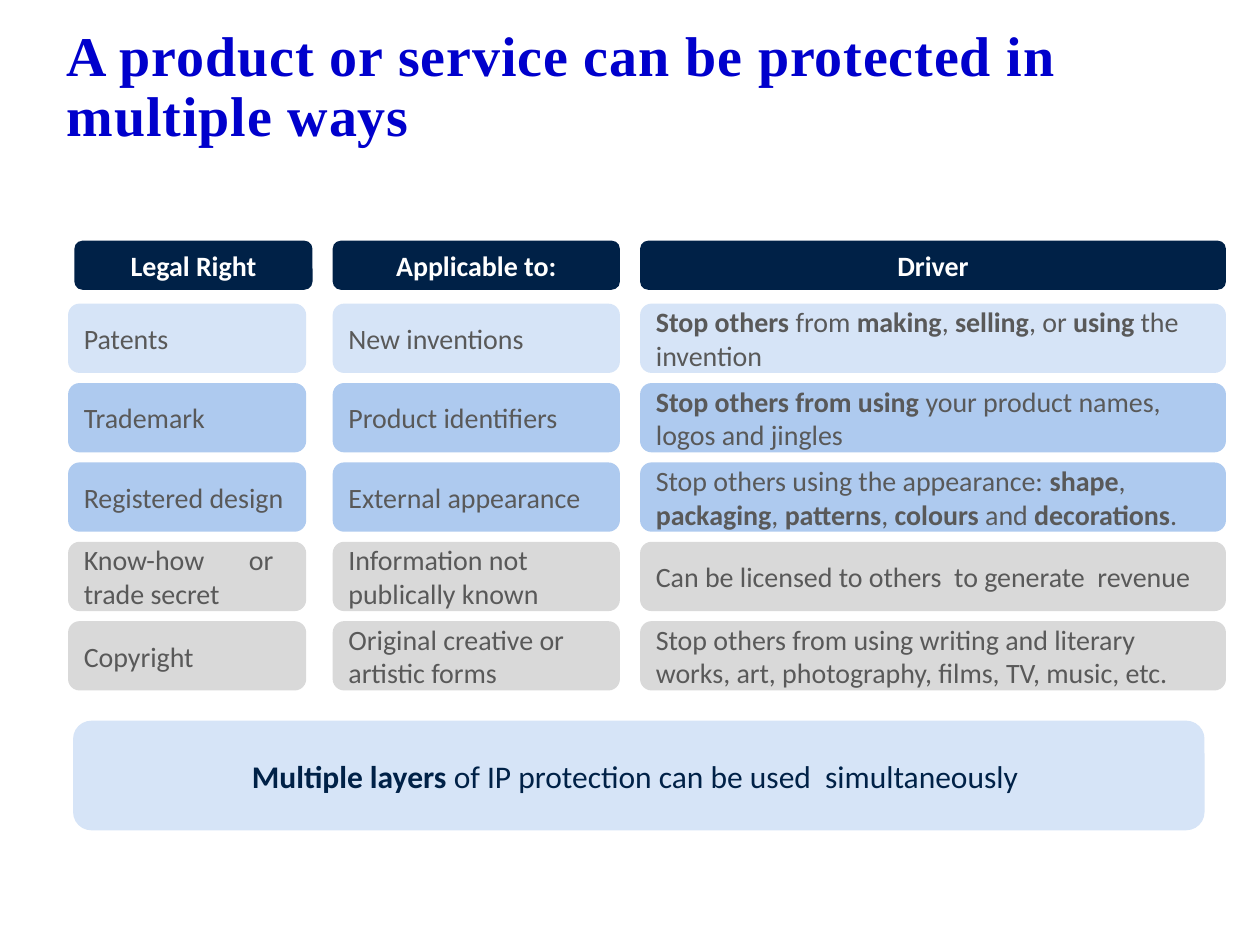
from pptx import Presentation
from pptx.dml.color import RGBColor
from pptx.enum.shapes import MSO_SHAPE as Shape
from pptx.enum.text import MSO_ANCHOR as Anchor, PP_ALIGN as Align
from pptx.oxml.ns import qn
from pptx.util import Inches, Pt
from lxml.etree import SubElement

COLORS = {"navy": "002147", "pale": "D6E4F7", "sky": "AECAEF", "gray": "D9D9D9",
          "text": "595959", "white": "FFFFFF", "title": "0000CC"}
COLS = [(0, 1.89), (2.1, 2.28), (4.54, 4.65)]
HEADS = ["Legal Right", "Applicable to:", "Driver"]
ROWS = [
    ("pale", "Patents", "New inventions",
     "*Stop others *from *making*, *selling*, or *using* the invention"),
    ("sky", "Trademark", "Product identifiers",
     "*Stop others from using *your product names, logos and jingles"),
    ("sky", "Registered design", "External appearance",
     "Stop others using the appearance: *shape*, *packaging*, *patterns*, "
     "*colours* and *decorations*."),
    ("gray", "Know-how\tor trade secret", "Information not publically known",
     "Can be licensed to others  to generate  revenue"),
    ("gray", "Copyright", "Original creative or artistic forms",
     "Stop others from using writing and literary works, art, photography, "
     "films, TV, music, etc."),
]


def rgb(name):
    """Look up a named colour."""
    return RGBColor.from_string(COLORS[name])


def style(run, color, **form):
    """Set the font of a run."""
    run.font.color.rgb = rgb(color)
    for key, value in form.items():
        setattr(run.font, key, value)


def write(para, text, color, size):
    """Write text in which asterisks switch bold on and off."""
    for i, part in enumerate(text.split("*")):
        if part:
            run = para.add_run()
            run.text = part
            style(run, color, name="Calibri", size=Pt(size), bold=i % 2 == 1)


def add_tab(para, pos):
    """Set one left tab stop in a paragraph."""
    tabs = SubElement(para._p.get_or_add_pPr(), qn("a:tabLst"))
    SubElement(tabs, qn("a:tab"), pos=str(int(pos)), algn="l")


def add_box(slide, box, text, fill, color="text", size=16, align=Align.LEFT):
    """Add a rounded box with text."""
    shape = slide.shapes.add_shape(Shape.ROUNDED_RECTANGLE, *map(Inches, box))
    shape.shadow.inherit = False
    shape.fill.solid()
    shape.fill.fore_color.rgb = rgb(fill)
    shape.line.fill.background()
    frame = shape.text_frame
    frame.word_wrap = True
    frame.vertical_anchor = Anchor.MIDDLE
    para = frame.paragraphs[0]
    para.alignment = align
    if "\t" in text:
        add_tab(para, Inches(1.31))
    write(para, text, color, size)


def add_title(slide, box, text):
    """Place and format the title."""
    title = slide.shapes.title
    title.left, title.top, title.width, title.height = map(Inches, box)
    frame = title.text_frame
    frame.word_wrap = True
    frame.vertical_anchor = Anchor.TOP
    para = frame.paragraphs[0]
    para.alignment = Align.LEFT
    para.line_spacing = 0.9
    run = para.add_run()
    run.text = text
    style(run, "title", name="Times New Roman", size=Pt(32), bold=True)
    run.font._element.set("spc", "50")


def add_heads(slide, left, top):
    """Add the dark column heads, the first a little indented."""
    for i, ((x, width), text) in enumerate(zip(COLS, HEADS)):
        shift = 0.05 if i == 0 else 0
        add_box(slide, (left + x + shift, top, width, 0.39), f"*{text}*",
                "navy", "white", align=Align.CENTER)


def add_rows(slide, left, top):
    """Add the grid of rights, one row for each."""
    for i, (fill, *cells) in enumerate(ROWS):
        for (x, width), text in zip(COLS, cells):
            add_box(slide, (left + x, top + i * 0.63, width, 0.55), text, fill)


def main():
    """Build and save the slide."""
    deck = Presentation()
    deck.slide_width, deck.slide_height = Inches(10), Inches(7.5)
    slide = deck.slides.add_slide(deck.slide_layouts[5])
    add_title(slide, (0.43, 0.17, 9.29, 1.66),
              "A product or service can be protected in multiple ways")
    add_heads(slide, 0.54, 1.91)
    add_rows(slide, 0.54, 2.41)
    add_box(slide, (0.58, 5.72, 8.98, 0.87),
            "*Multiple layers *of IP protection can be used  simultaneously ",
            "pale", "navy", 18, Align.CENTER)
    deck.save("out.pptx")


if __name__ == "__main__":
    main()
